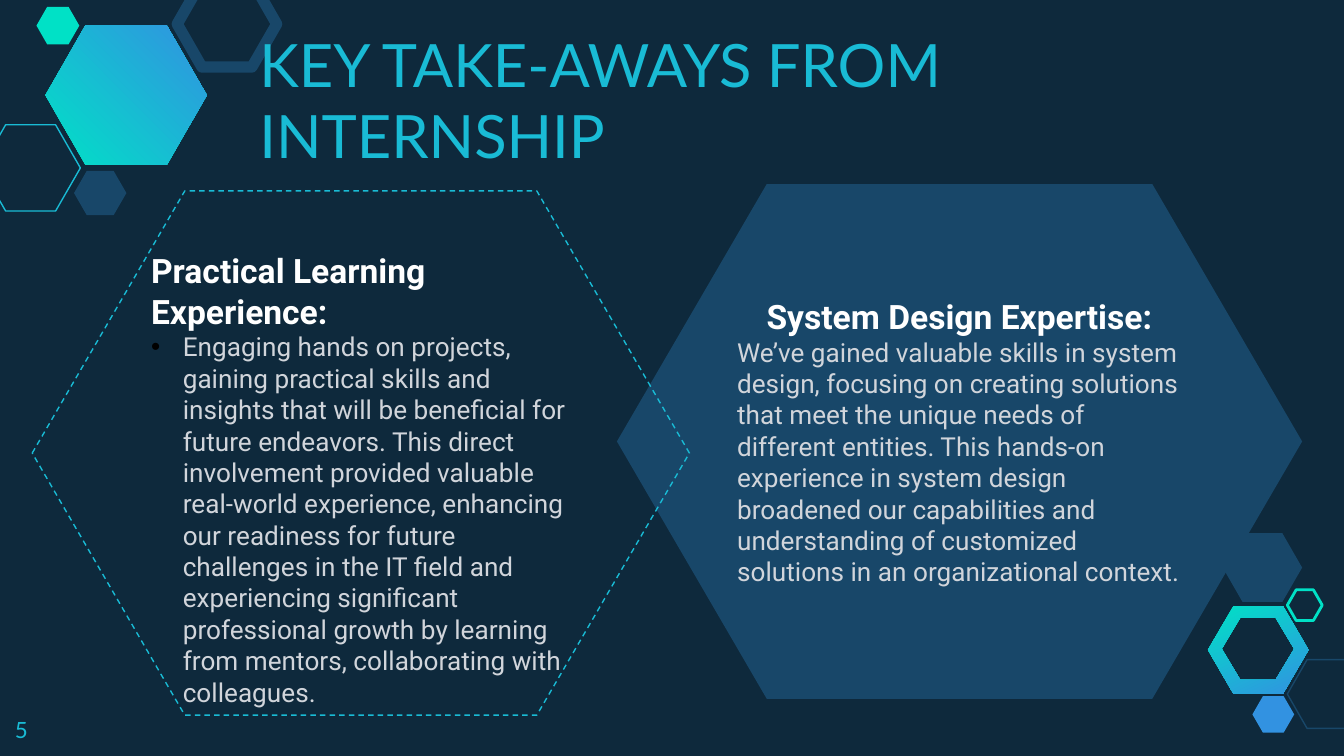
from dataclasses import dataclass
from lxml.etree import SubElement
from pptx import Presentation
from pptx.dml.color import RGBColor
from pptx.enum.dml import MSO_LINE
from pptx.enum.shapes import MSO_SHAPE
from pptx.enum.text import MSO_ANCHOR, MSO_AUTO_SIZE, PP_ALIGN
from pptx.oxml.ns import qn
from pptx.util import Cm, Pt


@dataclass(frozen=True)
class Theme:
    night: str = "0E293C"
    navy: str = "184769"
    cyan: str = "19BBD5"
    mint: str = "00E1C6"
    blue: str = "3292E1"
    white: str = "FFFFFF"
    grey: str = "D1D5DB"
    title_font: str = "Lato"
    body_font: str = "Roboto"
    title_size: int = 32
    heading_size: int = 18
    body_size: int = 14
    number_size: int = 12


T = Theme()

# Small hexagons: left, top, width, height (cm), colour, outline width (None = filled)
SMALL_HEXAGONS = [
    (-0.36, 2.36, 1.88, 1.63, T.cyan, 0.75),
    (1.4, 3.23, 0.99, 0.84, T.navy, None),
    (3.35, -0.36, 1.88, 1.63, T.navy, 6),
    (0.69, 0.13, 0.81, 0.71, T.mint, None),
    (24.33, 12.47, 1.5, 1.3, T.navy, 0.75),
    (23.67, 13.16, 0.79, 0.69, T.blue, None),
    (23.11, 10.08, 1.5, 1.3, T.navy, None),
    (24.33, 11.15, 0.66, 0.58, T.mint, 1.5),
]

LEARNING = (
    "Engaging hands on projects, gaining practical skills and insights that will be "
    "beneficial for future endeavors. This direct involvement provided valuable "
    "real-world experience, enhancing our readiness for future challenges in the IT "
    "field and experiencing significant professional growth by learning from mentors, "
    "collaborating with colleagues."
)
DESIGN = (
    "We’ve gained valuable skills in system design, focusing on creating solutions "
    "that meet the unique needs of different entities. This hands-on experience in "
    "system design broadened our capabilities and understanding of customized "
    "solutions in an organizational context."
)


def rgb(color):
    return RGBColor.from_string(color)


def box(*lengths):
    return [Cm(v) for v in lengths]


# Shapes
def gradient(sp, angle):
    sp.shadow.inherit = False
    sp.line.fill.background()
    sp.fill.gradient()
    sp.fill.gradient_angle = angle
    for stop, color in zip(sp.fill.gradient_stops, (T.mint, T.blue)):
        stop.color.rgb = rgb(color)


def hexagon(s, at, color, outline=None, adj=0.287):
    sp = s.shapes.add_shape(MSO_SHAPE.HEXAGON, *box(*at))
    sp.adjustments[0] = adj
    sp.shadow.inherit = False
    if outline is None:
        sp.fill.solid()
        sp.fill.fore_color.rgb = rgb(color)
        sp.line.fill.background()
    else:
        sp.fill.background()
        sp.line.color.rgb = rgb(color)
        sp.line.width = Pt(outline)
    return sp


def hexagon_points(x, y, w, h, inset):
    points = [(x, y + h / 2), (x + inset, y), (x + w - inset, y),
              (x + w, y + h / 2), (x + w - inset, y + h), (x + inset, y + h)]
    return [(Cm(px), Cm(py)) for px, py in points]


def hexagon_ring(s):
    outer = hexagon_points(22.83, 11.46, 1.9, 1.65, 0.48)
    inner = hexagon_points(23.09, 11.68, 1.37, 1.17, 0.35)[::-1]
    builder = s.shapes.build_freeform(*outer[0])
    builder.add_line_segments(outer[1:], close=True)
    builder.move_to(*inner[0])
    builder.add_line_segments(inner[1:], close=True)
    gradient(builder.convert_to_shape(), 296)


# Text
def frame(sp, anchor, top=0.25):
    tf = sp.text_frame
    tf.word_wrap = True
    tf.auto_size = MSO_AUTO_SIZE.NONE
    tf.vertical_anchor = anchor
    tf.margin_left = tf.margin_right = tf.margin_bottom = Cm(0.25)
    tf.margin_top = Cm(top)
    return tf


def write(p, text, font, size, color, bold=False, align=PP_ALIGN.LEFT):
    p.text = text
    p.alignment = align
    for r in p.runs:
        r.font.name = font
        r.font.size = Pt(size)
        r.font.bold = bold
        r.font.color.rgb = rgb(color)


def bullet(p):
    pPr = p._p.get_or_add_pPr()
    pPr.set("marL", str(Cm(0.6)))
    pPr.set("indent", str(-Cm(0.6)))
    SubElement(SubElement(pPr, qn("a:buClr")), qn("a:srgbClr"), val="000000")
    SubElement(pPr, qn("a:buFont"), typeface="Arial")
    SubElement(pPr, qn("a:buChar"), char="•")


def panel_text(sp, heading, body, align=PP_ALIGN.LEFT, top=0.25):
    tf = frame(sp, MSO_ANCHOR.MIDDLE, top)
    write(tf.paragraphs[0], heading, T.body_font, T.heading_size, T.white, True, align)
    p = tf.add_paragraph()
    write(p, body, T.body_font, T.body_size, T.grey)
    return p


def main():
    prs = Presentation()
    prs.slide_width, prs.slide_height = box(25.4, 14.29)
    s = prs.slides.add_slide(prs.slide_layouts[5])
    s.background.fill.solid()
    s.background.fill.fore_color.rgb = rgb(T.night)

    # Corner decoration
    hexagon_ring(s)
    gradient(hexagon(s, (0.86, 0.48, 3.05, 2.64), T.mint), 45)
    for *at, color, outline in SMALL_HEXAGONS:
        hexagon(s, at, color, outline)

    # System design panel
    design = hexagon(s, (11.66, 3.48, 12.95, 9.73), T.navy, adj=0.291)
    panel_text(design, "System Design Expertise:", DESIGN, PP_ALIGN.CENTER)

    # Title, in front of the decoration
    title = s.shapes.title
    title.left, title.top, title.width, title.height = box(4.65, 1.4, 17.86, 2.08)
    tf = frame(title, MSO_ANCHOR.BOTTOM)
    write(tf.paragraphs[0], "KEY TAKE-AWAYS FROM INTERNSHIP",
          T.title_font, T.title_size, T.cyan)
    design._element.addnext(title._element)

    # Practical learning panel
    learning = hexagon(s, (0.61, 3.61, 12.42, 9.91), T.cyan, 0.75, adj=0.291)
    learning.line.dash_style = MSO_LINE.DASH
    bullet(panel_text(learning, "Practical Learning Experience:", LEARNING, top=1.22))

    # Page number
    number = s.shapes.add_textbox(*box(0.03, 13.28, 1.52, 0.99))
    tf = frame(number, MSO_ANCHOR.TOP)
    write(tf.paragraphs[0], "5", T.title_font, T.number_size, T.cyan)

    prs.save("out.pptx")


main()
